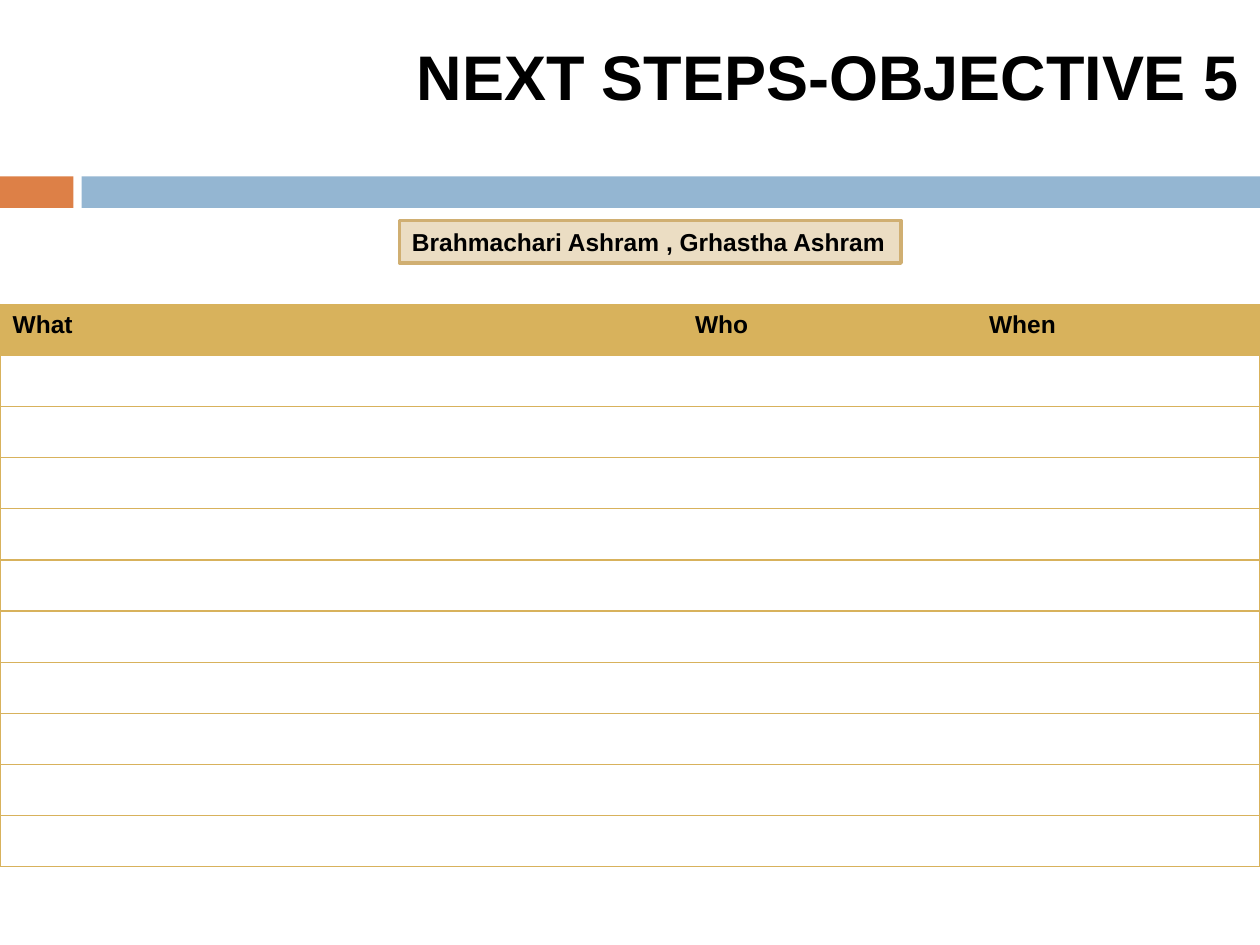
import pptx
import pptx.util
import pptx.dml.color
import pptx.enum.shapes
import pptx.enum.text
import pptx.oxml
import pptx.oxml.ns

Pt = pptx.util.Pt
RGB = pptx.dml.color.RGBColor.from_string
HUES = {"orange": "DD8047", "blue": "94B6D2", "sand": "EBDDC3",
        "edge": "D0AF72", "gold": "D8B25C", "text": "000000"}


def write(frame, text, size):
    """Put one bold line of text in a frame."""
    para = frame.paragraphs[0]
    para.alignment = pptx.enum.text.PP_ALIGN.LEFT
    run = para.add_run()
    run.text = text
    look = {"name": "Arial", "size": Pt(size), "bold": True}
    for key, value in look.items():
        setattr(run.font, key, value)
    run.font.color.rgb = RGB(HUES["text"])


def block(left, top, width, height, hue):
    """Add a plain filled rectangle without outline."""
    shape = slide.shapes.add_shape(
        pptx.enum.shapes.MSO_SHAPE.RECTANGLE,
        Pt(left), Pt(top), Pt(width), Pt(height))
    shape.shadow.inherit = False
    shape.fill.solid()
    shape.fill.fore_color.rgb = RGB(HUES[hue])
    shape.line.fill.background()
    return shape


deck = pptx.Presentation()
deck.slide_width, deck.slide_height = Pt(720), Pt(540)
slide = deck.slides.add_slide(deck.slide_layouts[6])

# Divider bars
block(0, 100.8, 42, 18, "orange")
block(46.6, 100.8, 673.4, 18, "blue")

# Title
title = slide.shapes.add_textbox(Pt(231), Pt(18), Pt(489), Pt(51))
title.text_frame.word_wrap = False
write(title.text_frame, "NEXT STEPS-OBJECTIVE 5", 36)

# Group label
label = block(228.3, 126, 286.5, 24.3, "sand")
label.line.color.rgb = RGB(HUES["edge"])
label.line.width = Pt(2.25)
label.text_frame.word_wrap = False
write(label.text_frame, "Brahmachari Ashram , Grhastha Ashram", 14)

# Action table
heads = ["What", "Who", "When"]
widths = [390, 168, 162]
count, tall = 11, 29.2
grid = slide.shapes.add_table(
    count, len(heads), Pt(0), Pt(174), Pt(720), Pt(count * tall)).table
grid.first_row = grid.horz_banding = False
for col, width in zip(grid.columns, widths):
    col.width = Pt(width)

for r, row in enumerate(grid.rows):
    row.height = Pt(tall)
    for c, cell in enumerate(row.cells):
        shown = {"lnL": c == 0, "lnR": c == len(heads) - 1,
                 "lnT": True, "lnB": True}
        props = cell._tc.get_or_add_tcPr()
        for side, seen in shown.items():
            paint = (f'<a:solidFill><a:srgbClr val="{HUES["gold"]}"/></a:solidFill>'
                     if seen else "<a:noFill/>")
            props.append(pptx.oxml.parse_xml(
                f'<a:{side} {pptx.oxml.ns.nsdecls("a")} w="{Pt(0.79)}">'
                f'{paint}</a:{side}>'))
        if r == 0:
            cell.fill.solid()
            cell.fill.fore_color.rgb = RGB(HUES["gold"])
            write(cell.text_frame, heads[c], 14)
        else:
            cell.fill.background()
            cell.text_frame.paragraphs[0].font.size = Pt(14)

deck.save("out.pptx")
